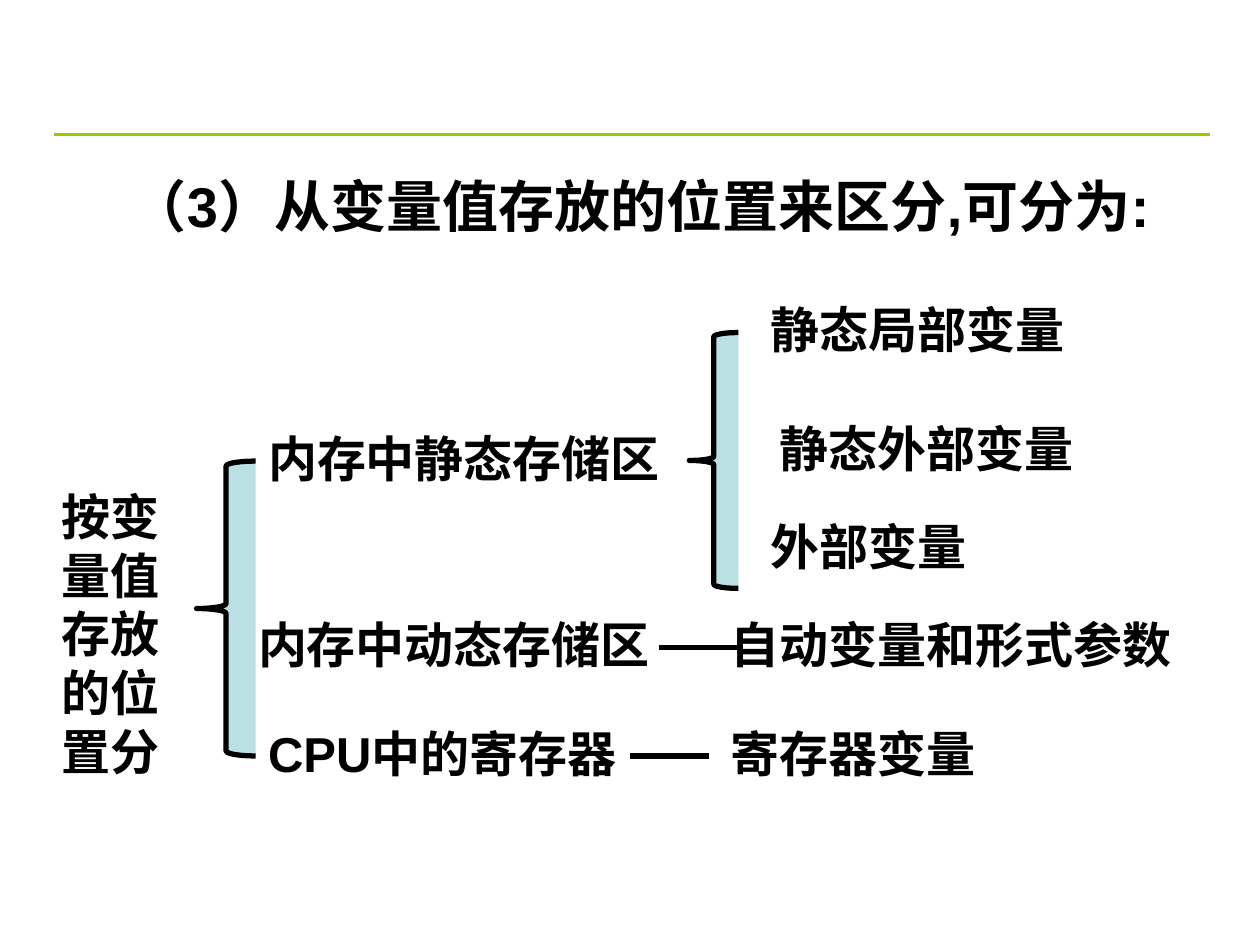
from typing import NamedTuple

import pptx
import pptx.dml.color
import pptx.enum.shapes
import pptx.enum.text
import pptx.oxml.ns
import pptx.util
from lxml import etree
from pptx.dml.color import RGBColor
from pptx.util import Inches

BLACK = RGBColor(0x00, 0x00, 0x00)
GREEN = RGBColor(0x99, 0xCC, 0x00)
PALE_TEAL = RGBColor(0xBB, 0xE0, 0xE3)
FONT = "Arial"


class Label(NamedTuple):
    text: str
    left: float
    top: float
    width: float
    height: float = 0.57
    size: int = 28


class Brace(NamedTuple):
    left: float
    top: float
    width: float
    height: float


class Rule(NamedTuple):
    left: float
    right: float
    y: float
    color: RGBColor = BLACK
    weight: float = 3


# Rows shared by a storage area and the variables kept in it
DYNAMIC_ROW = 4.83
REGISTER_ROW = 5.69

LABELS = [
    Label("（3）从变量值存放的位置来区分,可分为:", 0.94, 1.31, 8.44, 1.17, 32),
    Label("按变量值存放的位置分", 0.39, 3.81, 1.09, 2.44),
    # Storage areas
    Label("内存中静态存储区", 2.03, 3.35, 3.52),
    Label("内存中动态存储区", 1.95, DYNAMIC_ROW, 3.44),
    Label("CPU中的寄存器", 2.03, REGISTER_ROW, 3.36),
    # Kinds of variable
    Label("静态局部变量", 6.02, 2.33, 2.81),
    Label("静态外部变量", 6.09, 3.27, 2.66),
    Label("外部变量", 6.02, 4.05, 2.19),
    Label("自动变量和形式参数", 5.7, DYNAMIC_ROW, 3.91),
    Label("寄存器变量", 5.7, REGISTER_ROW, 2.66),
]

BRACES = [
    Brace(1.56, 3.66, 0.47, 2.34),
    Brace(5.47, 2.64, 0.39, 2.03),
]

RULES = [
    Rule(0.43, 9.6, 1.07, GREEN, 1.5),
    Rule(5.23, 5.86, 5.14),
    Rule(5, 5.63, 6),
]


def draw_label(slide, label: Label) -> None:
    box = slide.shapes.add_textbox(
        Inches(label.left), Inches(label.top),
        Inches(label.width), Inches(label.height))
    frame = box.text_frame
    frame.word_wrap = True
    frame.auto_size = pptx.enum.text.MSO_AUTO_SIZE.SHAPE_TO_FIT_TEXT
    run = frame.paragraphs[0].add_run()
    run.text = label.text
    run.font.name = FONT
    run.font.size = pptx.util.Pt(label.size)
    run.font.bold = True
    run.font.color.rgb = BLACK


def draw_brace(slide, brace: Brace) -> None:
    shape = slide.shapes.add_shape(
        pptx.enum.shapes.MSO_SHAPE.LEFT_BRACE,
        Inches(brace.left), Inches(brace.top),
        Inches(brace.width), Inches(brace.height))
    shape.shadow.inherit = False
    shape.fill.solid()
    shape.fill.fore_color.rgb = PALE_TEAL
    shape.line.color.rgb = BLACK
    shape.line.width = pptx.util.Pt(3)


def draw_rule(slide, rule: Rule) -> None:
    line = slide.shapes.add_connector(
        pptx.enum.shapes.MSO_CONNECTOR.STRAIGHT,
        Inches(rule.left), Inches(rule.y), Inches(rule.right), Inches(rule.y))
    line.line.color.rgb = rule.color
    line.line.width = pptx.util.Pt(rule.weight)
    etree.SubElement(line._element.spPr, pptx.oxml.ns.qn("a:effectLst"))


def main() -> None:
    deck = pptx.Presentation()
    deck.slide_width, deck.slide_height = Inches(10), Inches(7.5)
    slide = deck.slides.add_slide(deck.slide_layouts[6])

    for label in LABELS:
        draw_label(slide, label)
    for brace in BRACES:
        draw_brace(slide, brace)
    for rule in RULES:
        draw_rule(slide, rule)

    deck.save("out.pptx")


if __name__ == "__main__":
    main()
